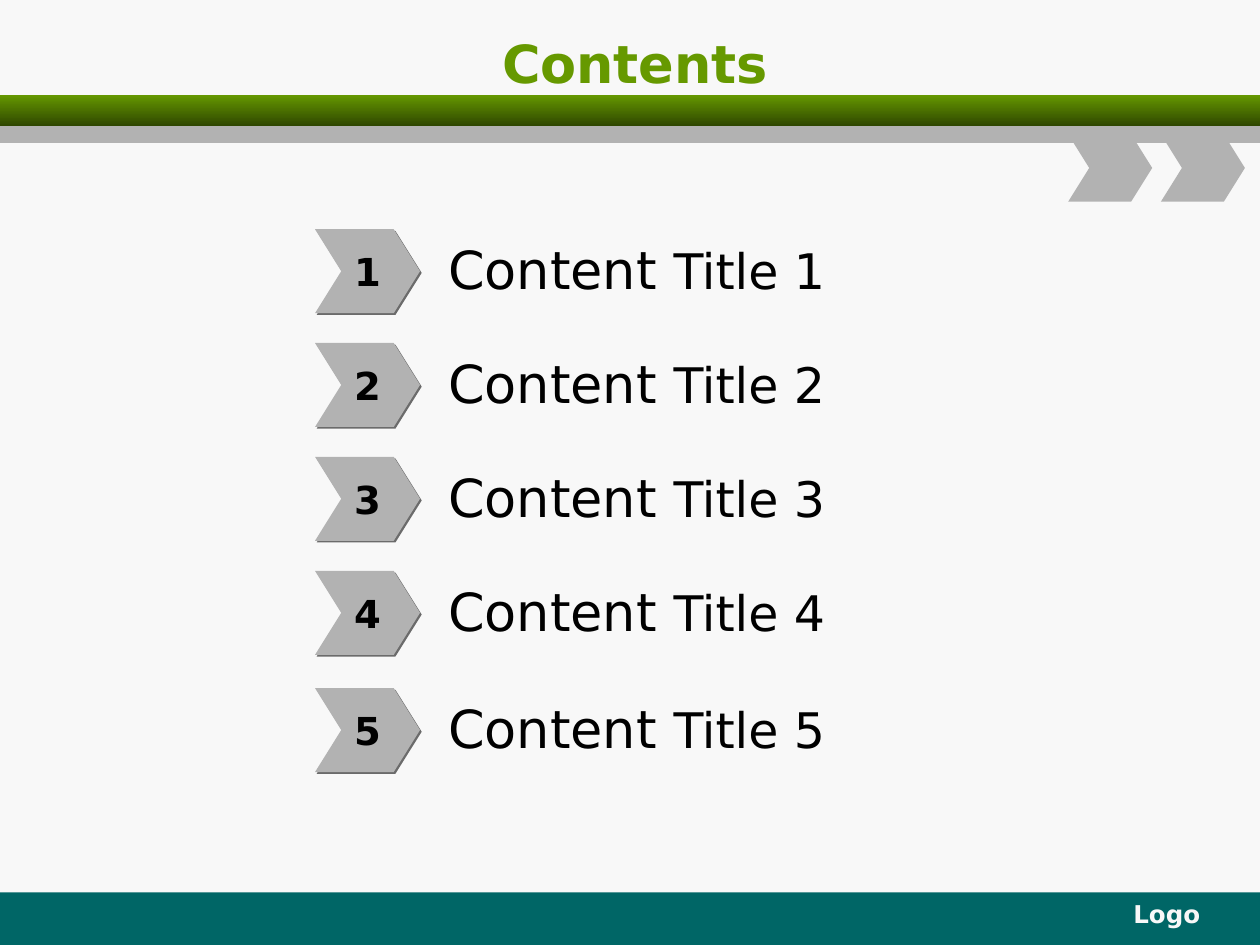
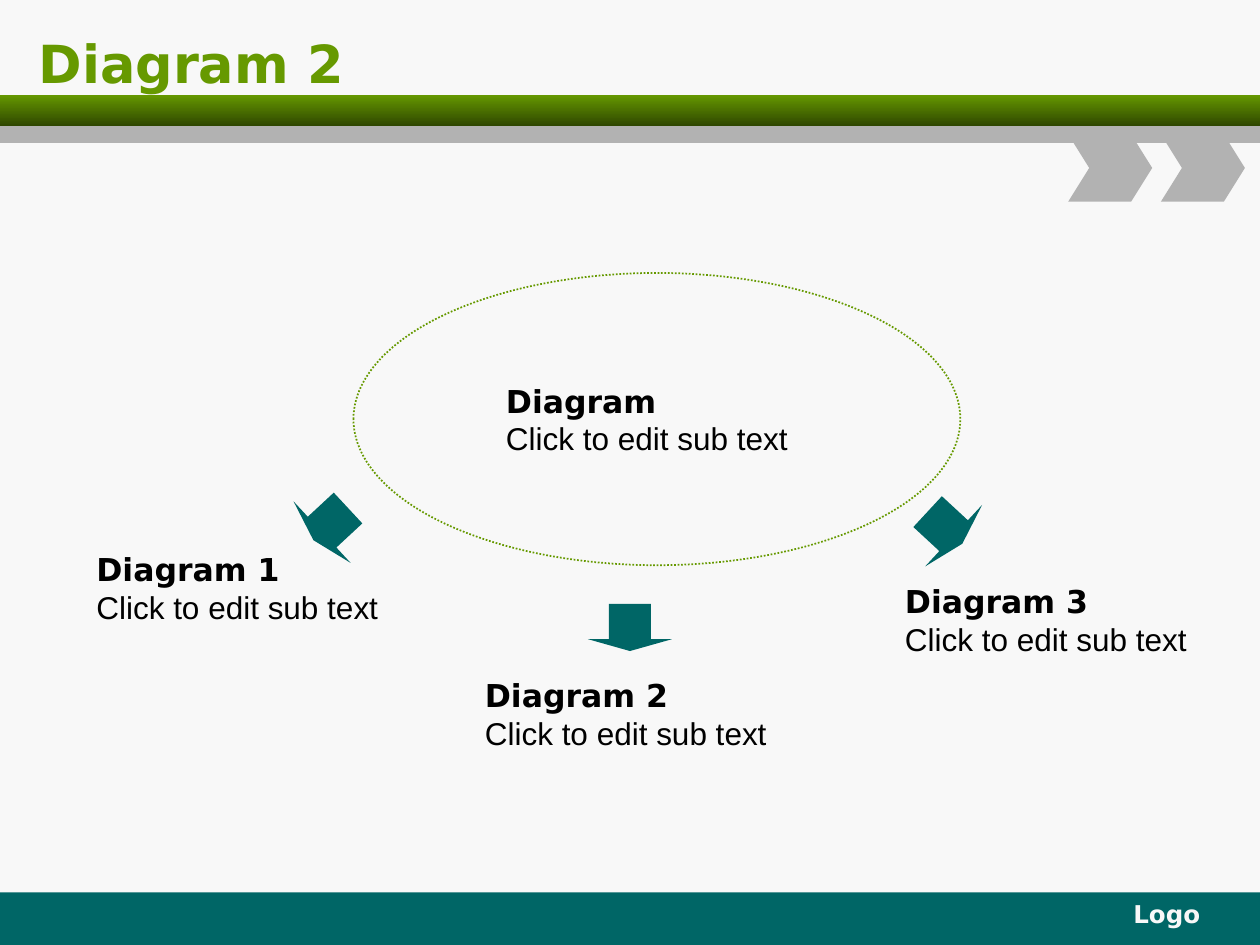
"""Build a contents slide and an ellipse diagram slide in a shared green and teal style."""
from dataclasses import dataclass

from lxml import etree
from pptx import Presentation
from pptx.dml.color import RGBColor
from pptx.enum.dml import MSO_LINE
from pptx.enum.shapes import MSO_SHAPE
from pptx.enum.text import MSO_ANCHOR, PP_ALIGN
from pptx.oxml.ns import qn
from pptx.presentation import Presentation as Deck
from pptx.shapes.autoshape import Shape
from pptx.slide import Slide
from pptx.text.text import TextFrame
from pptx.util import Pt

RECT, CHEVRON = MSO_SHAPE.RECTANGLE, MSO_SHAPE.CHEVRON
OVAL, DOWN_ARROW = MSO_SHAPE.OVAL, MSO_SHAPE.DOWN_ARROW
LEFT, CENTER, RIGHT = PP_ALIGN.LEFT, PP_ALIGN.CENTER, PP_ALIGN.RIGHT
TOP, MIDDLE = MSO_ANCHOR.TOP, MSO_ANCHOR.MIDDLE
SYS_DOT = MSO_LINE.ROUND_DOT

COLORS = {
    "paper": "F8F8F8",
    "green": "669900",
    "dark_green": "2F4700",
    "teal": "006666",
    "gray": "B2B2B2",
    "shadow": "6B6B6B",
    "ink": "000000",
}
HEAD_FONT, SUB_FONT = "DejaVu Sans", "Arial"
SLIDE_W, SLIDE_H = 720, 540
CHEVRON_NOTCH = 0.3125


@dataclass(frozen=True)
class Box:
    x: float
    y: float
    w: float
    h: float


@dataclass(frozen=True)
class Style:
    size: float | None
    color: str = "ink"
    bold: bool = False
    font: str = HEAD_FONT
    align: PP_ALIGN = LEFT


@dataclass(frozen=True)
class Label:
    heading: str
    box: Box


@dataclass(frozen=True)
class Arrow:
    box: Box
    angle: float


ROW_TOPS = (131, 196, 261, 326.2, 393.2)
LABELS = (
    Label("Diagram", Box(282, 214.5, 228, 68)),
    Label("Diagram 1", Box(48, 311, 180, 68)),
    Label("Diagram 2", Box(270, 383, 180, 68)),
    Label("Diagram 3", Box(510, 329, 180, 68)),
)
ARROWS = (
    Arrow(Box(165, 286, 48, 27), 47.1),
    Arrow(Box(336, 345, 48, 27), 0),
    Arrow(Box(516, 288, 48, 27), 312.8),
)


def rgb(name: str) -> RGBColor:
    return RGBColor.from_string(COLORS[name])


def add_shape(s: Slide, kind: MSO_SHAPE, box: Box, fill: str | None = None) -> Shape:
    sp = s.shapes.add_shape(kind, Pt(box.x), Pt(box.y), Pt(box.w), Pt(box.h))
    sp.shadow.inherit = False
    sp.line.fill.background()
    if fill:
        sp.fill.solid()
        sp.fill.fore_color.rgb = rgb(fill)
    else:
        sp.fill.background()
    return sp


def add_chevron(s: Slide, box: Box) -> Shape:
    sp = add_shape(s, CHEVRON, box, "gray")
    sp.adjustments[0] = CHEVRON_NOTCH
    return sp


def style_paragraph(p, style: Style) -> None:
    p.alignment = style.align
    p.font.name = style.font
    p.font.bold = style.bold
    p.font.color.rgb = rgb(style.color)
    if style.size:
        p.font.size = Pt(style.size)


def add_text_box(s: Slide, box: Box, anchor: MSO_ANCHOR = TOP) -> TextFrame:
    tf = s.shapes.add_textbox(Pt(box.x), Pt(box.y), Pt(box.w), Pt(box.h)).text_frame
    tf.word_wrap = True
    tf.vertical_anchor = anchor
    return tf


def write(tf: TextFrame, text: str, style: Style) -> None:
    p = tf.paragraphs[0]
    p.text = text
    style_paragraph(p, style)


def add_drop_shadow(sp: Shape) -> None:
    effects = sp._element.spPr.find(qn("a:effectLst"))
    shadow = etree.SubElement(
        effects, qn("a:outerShdw"), dist=str(Pt(1.4)), dir=str(45 * 60000), algn="ctr", rotWithShape="0"
    )
    etree.SubElement(shadow, qn("a:srgbClr"), val=COLORS["shadow"])


def add_slide(prs: Deck, title: str, box: Box, align: PP_ALIGN) -> Slide:
    s = prs.slides.add_slide(prs.slide_layouts[6])
    s.background.fill.solid()
    s.background.fill.fore_color.rgb = rgb("paper")
    add_shape(s, RECT, Box(0, 510, SLIDE_W, 30), "teal")

    band = add_shape(s, RECT, Box(0, 54, SLIDE_W, 18))
    band.fill.gradient()
    band.fill.gradient_angle = 270
    for stop, position, color in zip(band.fill.gradient_stops, (0, 1), ("green", "dark_green")):
        stop.position = position
        stop.color.rgb = rgb(color)

    add_shape(s, RECT, Box(0, 72, SLIDE_W, 9.6), "gray")
    for x in (610.4, 663.4):
        add_chevron(s, Box(x, 76.8, 48, 38.4))

    write(add_text_box(s, Box(405, 510, 288, 24)), "Logo", Style(14, "paper", True, align=RIGHT))
    write(add_text_box(s, box, MIDDLE), title, Style(30, "green", True, align=align))
    return s


def add_content_row(s: Slide, number: int, top: float) -> None:
    tf = add_text_box(s, Box(240, top + 1.5, 426, 42), MIDDLE)
    tf.margin_left = Pt(16.1)
    p = tf.paragraphs[0]
    for text, size in (("Content ", 30), (f"Title {number}", 28)):
        r = p.add_run()
        r.text = text
        r.font.size = Pt(size)
    style_paragraph(p, Style(None))

    sp = add_chevron(s, Box(180, top, 60, 48))
    add_drop_shadow(sp)
    tf = sp.text_frame
    tf.word_wrap = False
    tf.vertical_anchor = MIDDLE
    write(tf, str(number), Style(22, bold=True, align=CENTER))


def add_label(s: Slide, label: Label) -> None:
    tf = add_text_box(s, label.box)
    write(tf, label.heading, Style(18, bold=True))
    p = tf.add_paragraph()
    p.text = "Click to edit sub text"
    style_paragraph(p, Style(18, font=SUB_FONT))


def build_contents(prs: Deck) -> None:
    s = add_slide(prs, "Contents", Box(39, 12, 648, 48), CENTER)
    for number, top in enumerate(ROW_TOPS, start=1):
        add_content_row(s, number, top)


def build_diagram(prs: Deck) -> None:
    s = add_slide(prs, "Diagram 2", Box(15, 12, 687, 48), LEFT)
    ellipse = add_shape(s, OVAL, Box(202, 156, 346.8, 167))
    ellipse.line.color.rgb = rgb("green")
    ellipse.line.width = Pt(1)
    ellipse.line.dash_style = SYS_DOT
    for label in LABELS:
        add_label(s, label)
    for arrow in ARROWS:
        sp = add_shape(s, DOWN_ARROW, arrow.box, "teal")
        sp.adjustments[0], sp.adjustments[1] = 0.5, 0.25
        sp.rotation = arrow.angle


def main() -> None:
    prs = Presentation()
    prs.slide_width, prs.slide_height = Pt(SLIDE_W), Pt(SLIDE_H)
    build_contents(prs)
    build_diagram(prs)
    prs.save("out.pptx")


if __name__ == "__main__":
    main()
